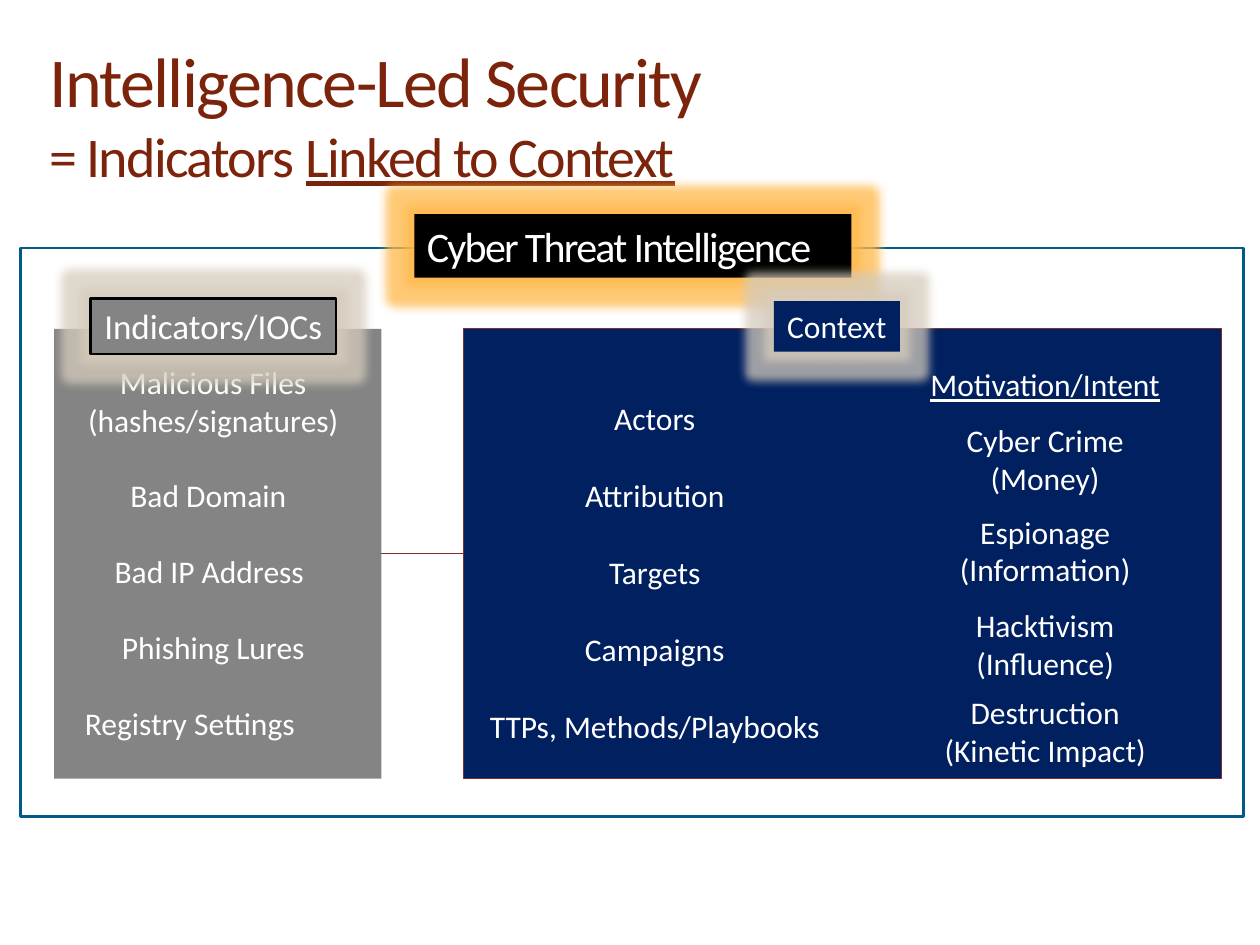
from lxml.etree import SubElement
from pptx import Presentation
from pptx.dml.color import RGBColor
from pptx.enum.shapes import MSO_CONNECTOR as Connector, MSO_SHAPE as Shape
from pptx.enum.text import MSO_ANCHOR as Anchor, MSO_AUTO_SIZE as AutoSize, PP_ALIGN as Align
from pptx.oxml.ns import qn
from pptx.util import Cm, Pt

COLORS = {
    "title": "7C240B", "frame": "015A88", "gray": "848484", "navy": "002060",
    "red": "812F2D", "black": "000000", "white": "FFFFFF",
    "orange glow": "FFB848", "sand glow": "D6CCBD",
}
FONT = "Calibri"


def add_box(left, top, width, height, fill=None, line=None, weight=0.75):
    box = page.shapes.add_shape(Shape.RECTANGLE, Cm(left), Cm(top), Cm(width), Cm(height))
    box.shadow.inherit = False
    if fill:
        box.fill.solid()
        box.fill.fore_color.rgb = RGBColor.from_string(COLORS[fill])
    else:
        box.fill.background()
    if line:
        box.line.color.rgb = RGBColor.from_string(COLORS[line])
        box.line.width = Pt(weight)
    else:
        box.line.fill.background()
    return box


def add_label(text, center, top, width, fill, size=18, height=1.02, line=None, glow=None):
    box = add_box(center - width / 2, top, width, height, fill, line, 1.25)
    frame = box.text_frame
    frame.text = text
    frame.word_wrap = False
    frame.auto_size = AutoSize.SHAPE_TO_FIT_TEXT
    frame.vertical_anchor = Anchor.TOP
    for para in frame.paragraphs:
        para.alignment = Align.CENTER
        para.font.name = FONT
        para.font.size = Pt(size)
        para.font.color.rgb = RGBColor.from_string(COLORS["white"])
    if glow:
        effects = box._element.spPr.find(qn("a:effectLst"))
        halo = SubElement(effects, qn("a:glow"), rad=str(Pt(11)))
        color = SubElement(halo, qn("a:srgbClr"), val=COLORS[glow])
        SubElement(color, qn("a:alpha"), val="75000")
    return box


deck = Presentation()
deck.slide_width, deck.slide_height = Cm(25.4), Cm(19.05)
page = deck.slides.add_slide(deck.slide_layouts[5])

# Title
title = page.shapes.title
title.left, title.top, title.width, title.height = Cm(0.74), Cm(1.5), Cm(25.04), Cm(1.57)
frame = title.text_frame
frame.auto_size = AutoSize.NONE
frame.vertical_anchor = Anchor.MIDDLE
title_lines = [(40, ["Intelligence-Led Security"]), (32, ["= Indicators ", "Linked to Context"])]
for index, (size, parts) in enumerate(title_lines):
    para = frame.paragraphs[0] if index == 0 else frame.add_paragraph()
    para.alignment = Align.LEFT
    para.space_before = Pt(0)
    for part in parts:
        span = para.add_run()
        span.text = part
        span.font.name = FONT
        span.font.size = Pt(size)
        span.font.color.rgb = RGBColor.from_string(COLORS["title"])
        span.font.underline = part == "Linked to Context"
        span._r.get_or_add_rPr().set("spc", "-100")

# Indicators panel
indicators = add_box(1.09, 6.63, 6.6, 9.07, "gray")
add_label("Malicious Files\n(hashes/signatures)", 4.3, 7.19, 5.61, "gray", height=1.8)
indicator_rows = [("Bad Domain", 4.2, 3.68), ("Bad IP Address", 4.22, 4.37),
                  ("Phishing Lures", 4.3, 4.75), ("Registry Settings", 3.83, 4.75)]
for row, (text, center, width) in enumerate(indicator_rows):
    add_label(text, center, 9.47 + 1.53 * row, width, "gray")
add_label("Indicators/IOCs", 4.3, 6.02, 4.95, "gray", size=20, height=1.12,
          line="black", glow="sand glow")

# Outer frame and its heading
add_box(0.41, 5, 24.66, 11.46, line="frame", weight=1.5)
heading = add_label("Cyber Threat Intelligence", 12.76, 4.32, 8.81, "black", size=24,
                    height=1.28, glow="orange glow")
heading_para = heading.text_frame.paragraphs[0]
heading_para.alignment = Align.LEFT
heading_para.runs[0]._r.get_or_add_rPr().set("spc", "-100")

# Context panel
context = add_box(9.35, 6.63, 15.27, 9.07, "navy", "red")
context_rows = [("Actors", 2.16), ("Attribution", 3.4), ("Targets", 2.36),
                ("Campaigns", 3.35), ("TTPs, Methods/Playbooks", 7.21)]
for row, (text, width) in enumerate(context_rows):
    add_label(text, 13.2, 7.92 + 1.55 * row, width, "navy")

# Motivations
motivation = add_label("Motivation/Intent", 21.07, 7.24, 5.21, "navy")
motivation.text_frame.paragraphs[0].font.underline = True
motives = [("Cyber Crime\n(Money)", 8.36, 3.71), ("Espionage\n(Information)", 10.21, 4.14),
           ("Hacktivism\n(Influence)", 12.09, 3.33), ("Destruction\n(Kinetic Impact)", 13.84, 4.62)]
for text, top, width in motives:
    add_label(text, 21.07, top, width, "navy", height=1.8)
add_label("Context", 16.87, 6.07, 2.54, "navy", glow="sand glow")

# Link between the panels
link = page.shapes.add_connector(Connector.STRAIGHT, 0, 0, 0, 0)
link.begin_connect(indicators, 3)
link.end_connect(context, 1)
link.line.color.rgb = RGBColor.from_string(COLORS["red"])
link.line.width = Pt(0.75)
SubElement(link._element.spPr, qn("a:effectLst"))

deck.save("out.pptx")
